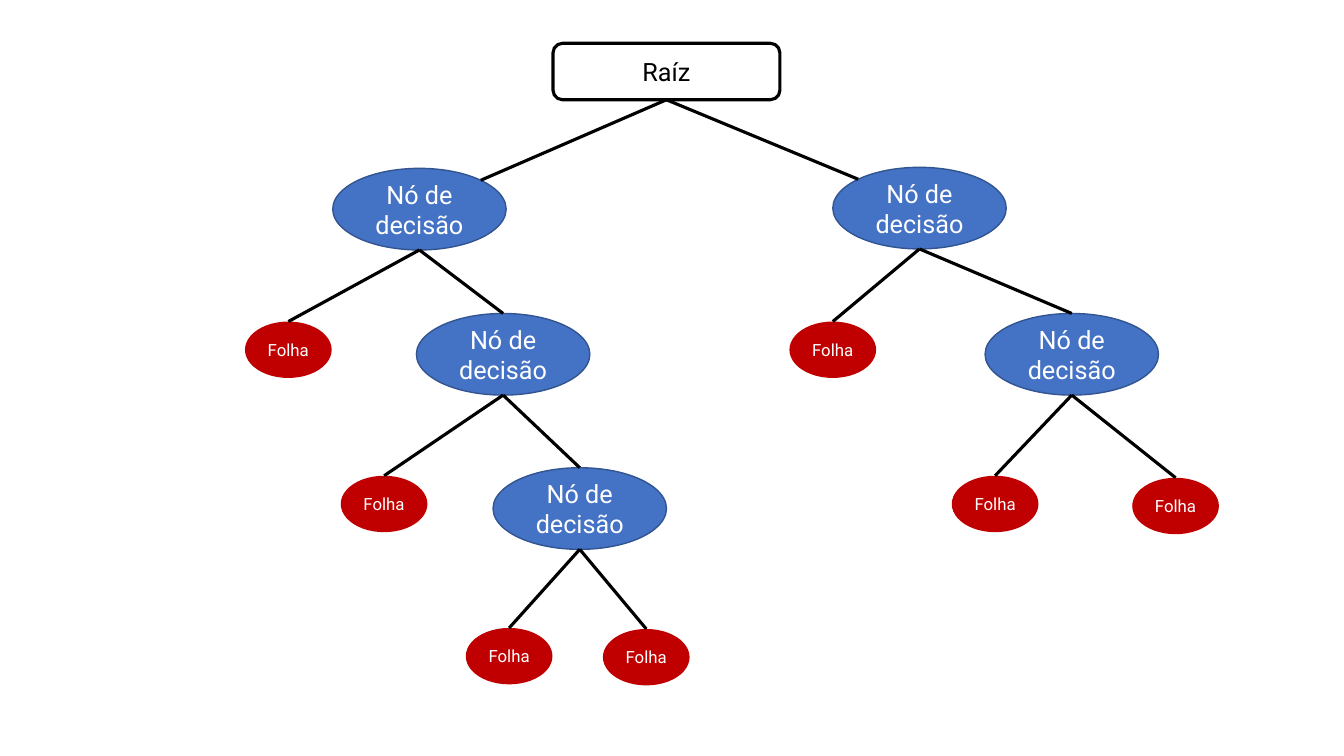
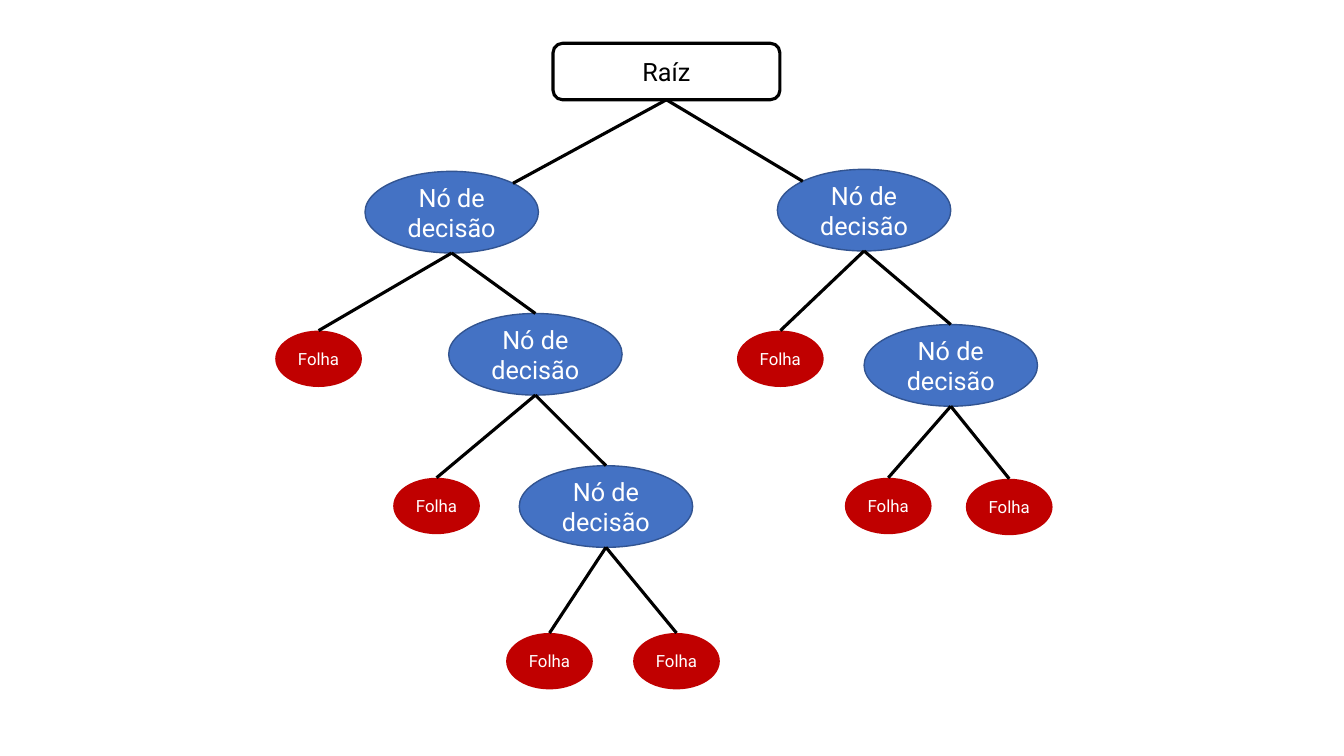
from dataclasses import dataclass
from math import sqrt

from lxml import etree
from pptx import Presentation
from pptx.dml.color import RGBColor
from pptx.enum import shapes, text
from pptx.oxml import ns
from pptx.util import Inches, Pt


@dataclass(frozen=True)
class Theme:
    """Colours, font, type sizes and line widths."""
    font: str = "Roboto"
    black: str = "000000"
    white: str = "FFFFFF"
    decision: str = "4472C4"
    decision_line: str = "325491"
    leaf: str = "C00000"
    large: float = 18
    small: float = 12
    branch: float = 2.25
    thin: float = 1
    text_outline: float = 0.75
    inset: float = 0.05


@dataclass(frozen=True)
class Node:
    """A tree node: horizontal centre, top edge and children, in inches."""
    center: float
    top: float
    children: tuple = ()


THEME = Theme()
ROOT_SIZE = (2.25, 0.56)
DECISION_SIZE = (1.72, 0.81)
LEAF_SIZE = (0.86, 0.56)
DIAGONAL = 1 / sqrt(2)


def set_text(shape, content, size, color, outline=None):
    """Write one centred line of text, with an optional glyph outline."""
    frame = shape.text_frame
    frame.word_wrap = True
    frame.vertical_anchor = text.MSO_ANCHOR.MIDDLE
    frame.margin_left = frame.margin_right = Inches(THEME.inset)
    paragraph = frame.paragraphs[0]
    paragraph.alignment = text.PP_ALIGN.CENTER
    run = paragraph.add_run()
    run.text = content
    run.font.name = THEME.font
    run.font.size = Pt(size)
    run.font.color.rgb = RGBColor.from_string(color)
    if outline:
        line = etree.Element(ns.qn("a:ln"), w=str(Pt(THEME.text_outline)))
        fill = etree.SubElement(line, ns.qn("a:solidFill"))
        etree.SubElement(fill, ns.qn("a:srgbClr"), val=outline)
        run.font._element.insert(0, line)


class TreeDeck:
    """Holds the presentation and the slide being drawn."""

    def __init__(self):
        self.presentation = Presentation()
        self.presentation.slide_width = Inches(13.33)
        self.presentation.slide_height = Inches(7.5)
        self.slide = None

    def add_slide(self):
        blank = self.presentation.slide_layouts[6]
        self.slide = self.presentation.slides.add_slide(blank)

    def box(self, preset, node, size, fill, line=None, width=THEME.thin):
        shape = self.slide.shapes.add_shape(
            preset, Inches(node.center - size[0] / 2), Inches(node.top),
            Inches(size[0]), Inches(size[1]))
        shape.shadow.inherit = False
        shape.fill.solid()
        shape.fill.fore_color.rgb = RGBColor.from_string(fill)
        if line:
            shape.line.color.rgb = RGBColor.from_string(line)
            shape.line.width = Pt(width)
        else:
            shape.line.fill.background()
        return shape

    def root(self, node):
        shape = self.box(shapes.MSO_SHAPE.ROUNDED_RECTANGLE, node, ROOT_SIZE,
                         THEME.white, THEME.black, THEME.branch)
        set_text(shape, "Raíz", THEME.large, THEME.black, outline=THEME.black)
        return shape

    def decision(self, node):
        shape = self.box(shapes.MSO_SHAPE.OVAL, node, DECISION_SIZE,
                         THEME.decision, THEME.decision_line)
        set_text(shape, "Nó de decisão", THEME.large, THEME.white)
        return shape

    def leaf(self, node):
        shape = self.box(shapes.MSO_SHAPE.OVAL, node, LEAF_SIZE, THEME.leaf)
        set_text(shape, "Folha", THEME.small, THEME.white)
        return shape

    def branch(self, parent, end_x, end_y):
        """Draw a line from the bottom centre of a shape to a point."""
        connector = self.slide.shapes.add_connector(
            shapes.MSO_CONNECTOR.STRAIGHT, parent.left + parent.width // 2,
            parent.top + parent.height, int(end_x), int(end_y))
        connector.line.color.rgb = RGBColor.from_string(THEME.black)
        connector.line.width = Pt(THEME.branch)
        properties = connector._element.spPr
        etree.SubElement(properties, ns.qn("a:effectLst"))
        return connector

    def subtree(self, node, parent=None):
        """Draw a node, its branch from the parent, and all below it."""
        if parent is None:
            shape = self.root(node)
        else:
            shape = self.decision(node) if node.children else self.leaf(node)
            self.join(parent, shape)
        for child in node.children:
            self.subtree(child, shape)

    def join(self, parent, child):
        center_x = child.left + child.width / 2
        if parent.auto_shape_type == shapes.MSO_SHAPE.ROUNDED_RECTANGLE:
            # Root branches meet the ellipse at its diagonal point
            parent_x = parent.left + parent.width / 2
            side = 1 if center_x < parent_x else -1
            end_x = center_x + side * child.width / 2 * DIAGONAL
            end_y = child.top + child.height / 2 * (1 - DIAGONAL)
            self.branch(parent, end_x, end_y).begin_connect(parent, 2)
        else:
            self.branch(parent, center_x, child.top).end_connect(child, 0)


# Tree positions, one tree per slide
WIDE_TREE = Node(6.61, 0.43, (
    Node(4.16, 1.67, (
        Node(2.86, 3.19),
        Node(4.99, 3.11, (
            Node(3.81, 4.72),
            Node(5.75, 4.64, (Node(5.05, 6.23), Node(6.41, 6.24))))))),
    Node(9.12, 1.66, (
        Node(8.26, 3.19),
        Node(10.63, 3.11, (Node(9.87, 4.72), Node(11.66, 4.74)))))))

COMPACT_TREE = Node(6.61, 0.43, (
    Node(4.48, 1.7, (
        Node(3.16, 3.28),
        Node(5.31, 3.11, (
            Node(4.33, 4.74),
            Node(6.01, 4.62, (Node(5.45, 6.28), Node(6.71, 6.28))))))),
    Node(8.57, 1.68, (
        Node(7.74, 3.28),
        Node(9.43, 3.22, (Node(8.81, 4.74), Node(10.01, 4.75)))))))


def main():
    deck = TreeDeck()
    for tree in (WIDE_TREE, COMPACT_TREE):
        deck.add_slide()
        deck.subtree(tree)
    deck.presentation.save("out.pptx")


if __name__ == "__main__":
    main()
